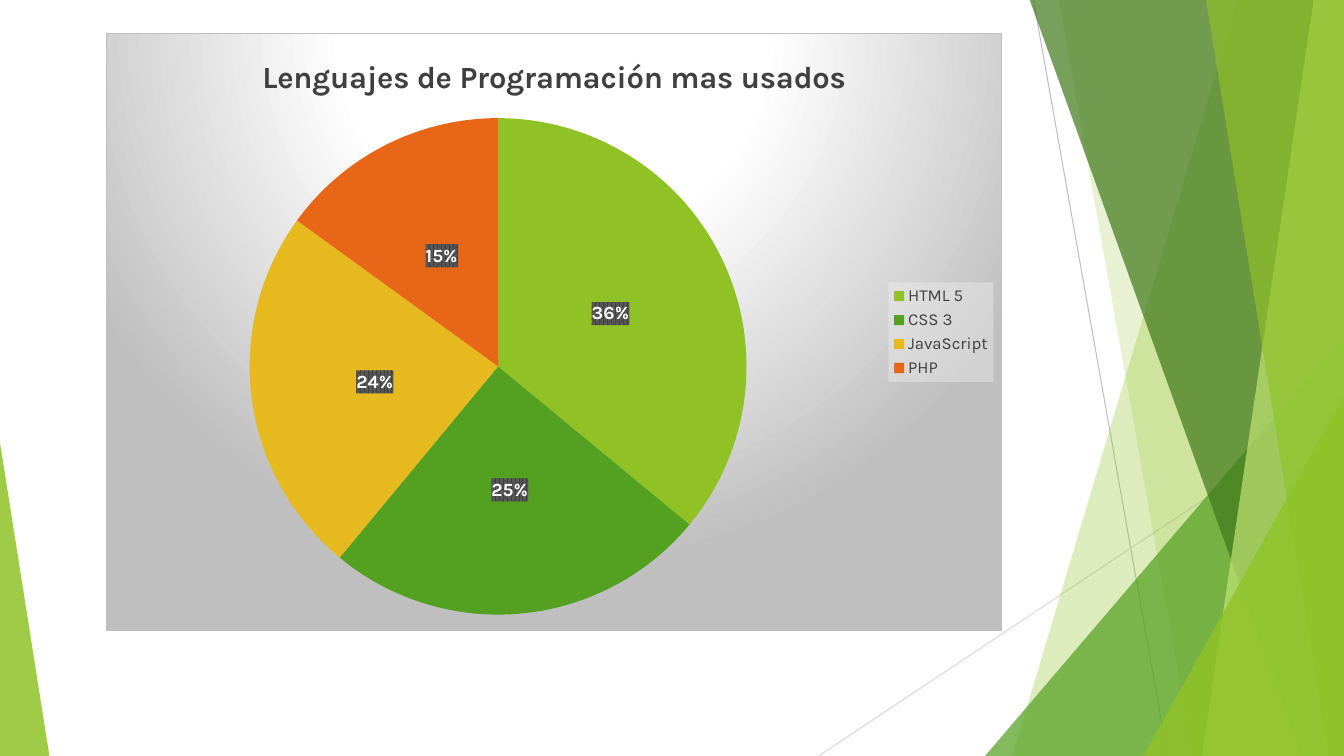
from lxml import etree
from pptx import Presentation
from pptx import util as u
from pptx.chart import data as chart_data
from pptx.dml import color
from pptx.enum import chart as chart_enum
from pptx.enum import shapes
from pptx.oxml import ns, parse_xml

NAMESPACES = ns.nsdecls("a", "c")


def rgb(value):
    return color.RGBColor.from_string(value)


def paint(shape, value, opacity):
    shape.shadow.inherit = False
    shape.line.fill.background()
    shape.fill.solid()
    shape.fill.fore_color.rgb = rgb(value)
    solid_color = shape.element.spPr.find(ns.qn("a:solidFill"))[0]
    etree.SubElement(solid_color, ns.qn("a:alpha"), val=str(opacity * 1000))


presentation = Presentation()
presentation.slide_width = u.Inches(13.33)
presentation.slide_height = u.Inches(7.5)
slide = presentation.slides.add_slide(presentation.slide_layouts[6])

for start_x, start_y, end_x, value in [
    (10.25, 0, 11.58, "BFBFBF"),
    (13.33, 4.03, 8.12, "D9D9D9"),
]:
    connector = slide.shapes.add_connector(
        shapes.MSO_CONNECTOR.STRAIGHT,
        u.Inches(start_x), u.Inches(start_y), u.Inches(end_x), u.Inches(7.5),
    )
    connector.line.color.rgb = rgb(value)
    connector.line.width = u.Pt(0.75)
    etree.SubElement(connector.element.spPr, ns.qn("a:effectLst"))

facets = [
    ("band", 12.28, 10.04, "90C226", 30),
    ("band", 10.5, 11.83, "90C226", 20),
    ("triangle", (9.77, 3.33, 3.56, 4.17), 1, "54A021", 72),
    ("band", 10.21, 12.91, "3F7819", 70),
    ("band", 13.03, 11.92, "C0E474", 70),
    ("band", 11.96, 13.18, "90C226", 65),
    ("triangle", (11.34, 3.93, 1.99, 3.57), 1, "90C226", 80),
    ("triangle", (0, 4.39, 0.49, 3.11), 0, "90C226", 85),
]
for kind, first, second, value, opacity in facets:
    if kind == "band":
        builder = slide.shapes.build_freeform(u.Inches(first), u.Inches(-0.01))
        corners = [(13.33, -0.01), (13.33, 7.5), (second, 7.5)]
        builder.add_line_segments([(u.Inches(x), u.Inches(y)) for x, y in corners])
        shape = builder.convert_to_shape()
    else:
        shape = slide.shapes.add_shape(
            shapes.MSO_SHAPE.ISOSCELES_TRIANGLE, *map(u.Inches, first)
        )
        shape.adjustments[0] = second
    paint(shape, value, opacity)

title = "Lenguajes de Programación mas usados"
languages = [
    ("HTML 5", 36, "90C226"),
    ("CSS 3", 25, "54A021"),
    ("JavaScript", 24, "E6B91E"),
    ("PHP", 15, "E76618"),
]
usage = chart_data.CategoryChartData()
usage.categories = [name for name, share, value in languages]
usage.add_series(title, [share for name, share, value in languages])
chart = slide.shapes.add_chart(
    chart_enum.XL_CHART_TYPE.PIE,
    u.Inches(1.05), u.Inches(0.33), u.Inches(8.89), u.Inches(5.93), usage,
).chart

chart.has_title = True
chart.chart_title.text_frame.text = title
chart.chart_title.include_in_layout = False
chart.has_legend = True
chart.legend.position = chart_enum.XL_LEGEND_POSITION.RIGHT
chart.legend.include_in_layout = False
chart.plots[0].vary_by_categories = True

series = chart.plots[0].series[0]
for index, (name, share, value) in enumerate(languages):
    fill = series.points[index].format.fill
    fill.solid()
    fill.fore_color.rgb = rgb(value)

labels = series.data_labels
labels.show_percentage = True
labels.show_value = False
labels.number_format = "0%"
labels.number_format_is_linked = False
labels.position = chart_enum.XL_LABEL_POSITION.CENTER

title_font = chart.chart_title.text_frame.paragraphs[0].font
for font, size, value, bold in [
    (chart.font, 10, "000000", False),
    (title_font, 22, "404040", True),
    (chart.legend.font, 12, "404040", False),
    (labels.font, 13.3, "FFFFFF", True),
]:
    font.name = "Karla"
    font.size = u.Pt(size)
    font.bold = bold
    font.color.rgb = rgb(value)

chart_space = chart.element
backgrounds = [
    (chart_space, """<a:gradFill><a:gsLst>
        <a:gs pos="0"><a:srgbClr val="FFFFFF"/></a:gs>
        <a:gs pos="39000"><a:srgbClr val="FFFFFF"/></a:gs>
        <a:gs pos="100000"><a:srgbClr val="BFBFBF"/></a:gs></a:gsLst>
        <a:path path="circle">
        <a:fillToRect l="50000" t="-80000" r="50000" b="180000"/></a:path></a:gradFill>
        <a:ln w="9525"><a:solidFill><a:srgbClr val="BFBFBF"/></a:solidFill></a:ln>"""),
    (chart_space.find(".//" + ns.qn("c:legend")), """<a:solidFill>
        <a:srgbClr val="F2F2F2"><a:alpha val="39000"/></a:srgbClr></a:solidFill>"""),
    (chart_space.find(".//" + ns.qn("c:ser") + "/" + ns.qn("c:dLbls")),
     """<a:pattFill prst="pct75"><a:fgClr><a:srgbClr val="404040"/></a:fgClr>
        <a:bgClr><a:srgbClr val="595959"/></a:bgClr></a:pattFill>"""),
]
for element, fill_xml in backgrounds:
    properties = parse_xml(f"<c:spPr {NAMESPACES}>{fill_xml}</c:spPr>")
    element.find(ns.qn("c:txPr")).addprevious(properties)

plot_area = chart_space.find(".//" + ns.qn("c:plotArea"))
for layout in plot_area.findall(ns.qn("c:layout")):
    plot_area.remove(layout)
layout = etree.Element(ns.qn("c:layout"))
manual_layout = etree.SubElement(layout, ns.qn("c:manualLayout"))
for tag, value in [
    ("layoutTarget", "inner"), ("xMode", "edge"), ("yMode", "edge"),
    ("x", "0.16"), ("y", "0.14"), ("w", "0.555"), ("h", "0.835"),
]:
    etree.SubElement(manual_layout, ns.qn("c:" + tag), val=value)
plot_area.insert(0, layout)

presentation.save("out.pptx")
